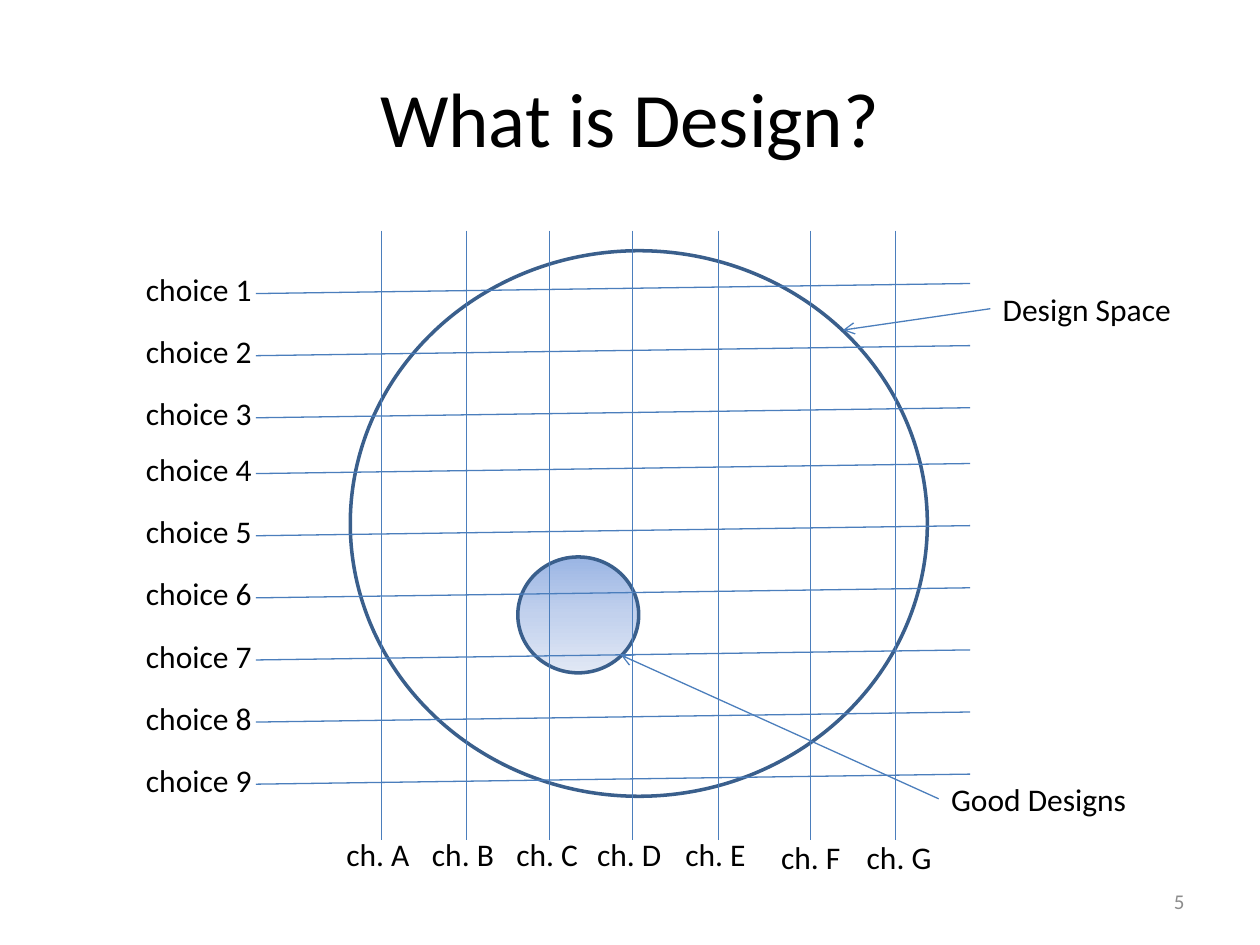
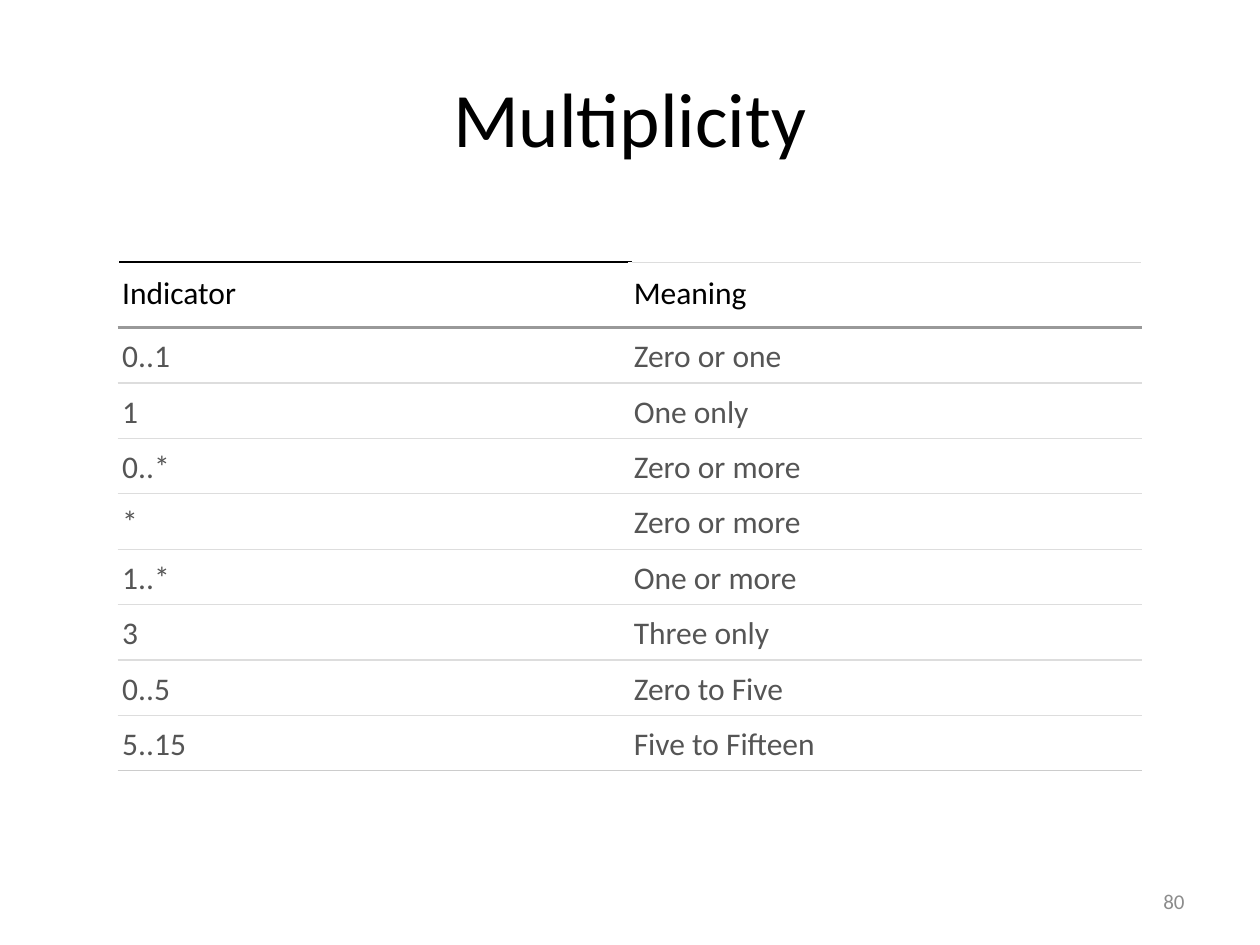
"""Builds two lecture slides: a design space diagram and a multiplicity table."""
import copy

import pptx
import pptx.dml.color
import pptx.enum.shapes
import pptx.enum.text
import pptx.oxml.ns
import pptx.oxml.xmlchemy
import pptx.util

RGB = pptx.dml.color.RGBColor
ALIGN = pptx.enum.text.PP_ALIGN
ANCHOR = pptx.enum.text.MSO_ANCHOR
SHAPES = pptx.enum.shapes
new_element = pptx.oxml.xmlchemy.OxmlElement

BLACK = RGB(0x00, 0x00, 0x00)
WHITE = RGB(0xFF, 0xFF, 0xFF)
PAGE_GREY = RGB(0x8C, 0x8C, 0x8C)
BODY_GREY = RGB(0x55, 0x55, 0x55)
HEADER_RULE = RGB(0x99, 0x99, 0x99)
LAST_RULE = RGB(0xCC, 0xCC, 0xCC)
ROW_RULE = RGB(0xDD, 0xDD, 0xDD)
OUTLINE = RGB(0x3A, 0x5F, 0x8C)
LINE_BLUE = RGB(0x4B, 0x7E, 0xBC)
GOOD_STOPS = (RGB(0x9A, 0xB5, 0xE4), RGB(0xC2, 0xD1, 0xED), RGB(0xE1, 0xE8, 0xF5))

GRID_COLUMNS, GRID_ROWS = 100, 75
CELL = pptx.util.Inches(0.1)
LABEL_HEIGHT = 4

TITLE_FONT = {"name": "Calibri", "size": pptx.util.Pt(44)}
LABEL_FONT = {"name": "Calibri", "size": pptx.util.Pt(18)}
PAGE_FONT = {"name": "Calibri", "size": pptx.util.Pt(12)}

CHOICE_COUNT = 9
CHOICE_START, CHOICE_STEP = 23.3, 4.93
CHOICE_LEFT, CHOICE_RIGHT, CHOICE_RISE = 20.3, 77, 0.8
CHANNEL_TOP, CHANNEL_BOTTOM = 18.3, 66.7
CHANNELS = (
    ("A", 30.3, 26.5, 7.1, 65.8),
    ("B", 37, 33.3, 7, 65.8),
    ("C", 43.6, 40, 7, 65.8),
    ("D", 50.2, 46.4, 7.2, 65.8),
    ("E", 57, 53.4, 6.9, 65.8),
    ("F", 64.3, 61, 6.8, 66),
    ("G", 71.1, 67.8, 7.2, 66),
)
MULTIPLICITIES = (
    ("Indicator", "Meaning"),
    ("0..1", "Zero or one"),
    ("1", "One only"),
    ("0..*", "Zero or more"),
    ("*", "Zero or more"),
    ("1..*", "One or more"),
    ("3", "Three only"),
    ("0..5", "Zero to Five"),
    ("5..15", "Five to Fifteen"),
)


def grid(*cells):
    """Turn grid positions into slide lengths."""
    return [round(cell * CELL) for cell in cells]


def apply_format(target, values):
    """Set every attribute named in a dict of format values."""
    for name, value in values.items():
        setattr(target, name, value)


def write(frame, text, font, colour, align=ALIGN.LEFT):
    """Write one formatted paragraph into a text frame."""
    paragraph = frame.paragraphs[0]
    paragraph.alignment = align
    run = paragraph.add_run()
    run.text = text
    apply_format(run.font, font)
    run.font.color.rgb = colour


def add_text(slide, area, text, font, colour, align, wrap=True, anchor=ANCHOR.MIDDLE):
    """Add a text box on the grid."""
    frame = slide.shapes.add_textbox(*grid(*area)).text_frame
    apply_format(frame, {"word_wrap": wrap, "vertical_anchor": anchor})
    write(frame, text, font, colour, align)


def add_label(slide, left, top, width, text):
    """Add a one-line diagram label."""
    add_text(slide, (left, top, width, LABEL_HEIGHT), text, LABEL_FONT, BLACK,
             ALIGN.LEFT, False, ANCHOR.TOP)


def add_line(slide, start, end, arrow=False):
    """Draw a thin blue line, with an open arrowhead if asked."""
    line = slide.shapes.add_connector(SHAPES.MSO_CONNECTOR.STRAIGHT, *grid(*start, *end))
    line.line.color.rgb = LINE_BLUE
    line.line.width = pptx.util.Pt(0.75)
    properties = line._element.spPr
    if arrow:
        head = new_element("a:tailEnd")
        head.set("type", "arrow")
        properties.find(pptx.oxml.ns.qn("a:ln")).append(head)
    properties.append(new_element("a:effectLst"))


def add_circle(slide, area, stops=()):
    """Draw an outlined ellipse, filled downwards through the given stops."""
    circle = slide.shapes.add_shape(SHAPES.MSO_SHAPE.OVAL, *grid(*area))
    circle.shadow.inherit = False
    circle.line.color.rgb = OUTLINE
    circle.line.width = pptx.util.Pt(2)
    if not stops:
        circle.fill.background()
        return
    circle.fill.gradient()
    circle.fill.gradient_angle = 270
    stop_list = circle._element.spPr.find(".//" + pptx.oxml.ns.qn("a:gsLst"))
    while len(stop_list) < len(stops):
        stop_list.append(copy.deepcopy(stop_list[0]))
    for index, (stop, colour) in enumerate(zip(circle.fill.gradient_stops, stops)):
        stop.position = index / (len(stops) - 1)
        stop.color.rgb = colour


def set_borders(cell, borders):
    """Rule the sides of a table cell, given in the order L, R, T, B."""
    properties = cell._tc.get_or_add_tcPr()
    for index, (side, (colour, points)) in enumerate(borders.items()):
        rule = new_element("a:ln" + side)
        rule.set("w", str(pptx.util.Pt(points)))
        paint = new_element("a:solidFill")
        value = new_element("a:srgbClr")
        value.set("val", str(colour))
        paint.append(value)
        rule.append(paint)
        properties.insert(index, rule)


def cell_borders(row, column, last_row):
    """Choose the rules around a table cell from its place."""
    inner = {"R" if column == 0 else "L": (WHITE, 2.25)}
    if row == 0:
        top = (BLACK, 1) if column == 0 else (ROW_RULE, 0.75)
    else:
        top = (HEADER_RULE, 1.5) if row == 1 else (ROW_RULE, 0.75)
    if row == 0:
        bottom = (HEADER_RULE, 1.5)
    else:
        bottom = (LAST_RULE if row == last_row else ROW_RULE, 0.75)
    return {**inner, "T": top, "B": bottom}


def add_multiplicity_table(slide):
    """Add the table of indicators and their meanings."""
    row_count, column_count = len(MULTIPLICITIES), len(MULTIPLICITIES[0])
    table = slide.shapes.add_table(
        row_count, column_count, *grid(9.4, 20.8, 81.2, 40.4)).table
    apply_format(table, {"first_row": False, "horz_banding": False})
    for row, texts in enumerate(MULTIPLICITIES):
        header = row == 0
        table.rows[row].height = grid(5.2 if header else 4.4)[0]
        for column, text in enumerate(texts):
            cell = table.cell(row, column)
            margins = grid(0.3, 0.5, 1 if header else 0.8, 1 if header else 0.5)
            names = ("margin_left", "margin_right", "margin_top", "margin_bottom")
            apply_format(cell, dict(zip(names, margins)))
            cell.fill.solid()
            cell.fill.fore_color.rgb = WHITE
            set_borders(cell, cell_borders(row, column, row_count - 1))
            write(cell.text_frame, text, LABEL_FONT, BLACK if header else BODY_GREY)


def add_slide(deck, title, page):
    """Add a blank slide with the shared title and page number."""
    slide = deck.slides.add_slide(deck.slide_layouts[6])
    add_text(slide, (5, 3, 90, 12.5), title, TITLE_FONT, BLACK, ALIGN.CENTER)
    add_text(slide, (71.7, 69.5, 23.3, 4), page, PAGE_FONT, PAGE_GREY, ALIGN.RIGHT)
    return slide


def add_design_space(slide):
    """Draw the design space crossed by choices and channels."""
    add_circle(slide, (41.1, 44.2, 9.6, 9.2), GOOD_STOPS)
    add_circle(slide, (27.8, 19.9, 45.8, 43.3))
    add_label(slide, 78.6, 22.5, 15.5, "Design Space")
    add_line(slide, (78.6, 24.5), (66.9, 26.2), arrow=True)
    add_label(slide, 74.5, 61.4, 16.1, "Good Designs")
    add_line(slide, (74.5, 63.4), (49.3, 52), arrow=True)
    for index in range(CHOICE_COUNT):
        level = CHOICE_START + CHOICE_STEP * index - (0.5 if index > 2 else 0)
        add_line(slide, (CHOICE_LEFT, level), (CHOICE_RIGHT, level - CHOICE_RISE))
        add_label(slide, 10.6, level - 2.35, 10.5, f"choice {index + 1}")
    for letter, column, left, width, top in CHANNELS:
        add_line(slide, (column, CHANNEL_TOP), (column, CHANNEL_BOTTOM))
        add_label(slide, left, top, width, f"ch. {letter}")


def main():
    """Build and save the deck."""
    deck = pptx.Presentation()
    deck.slide_width, deck.slide_height = grid(GRID_COLUMNS, GRID_ROWS)
    add_design_space(add_slide(deck, "What is Design?", "5"))
    add_multiplicity_table(add_slide(deck, "Multiplicity", "80"))
    deck.save("out.pptx")


if __name__ == "__main__":
    main()
